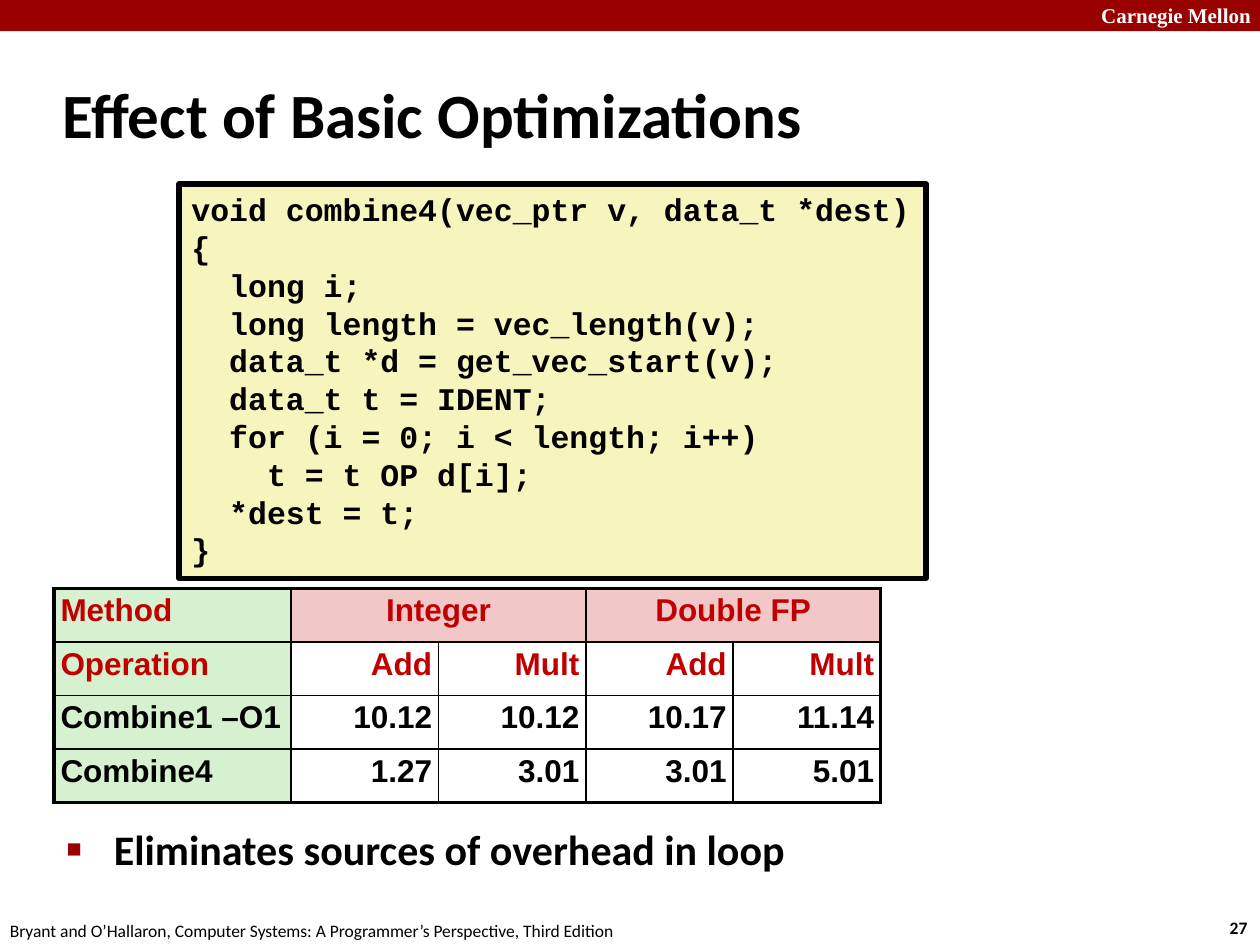
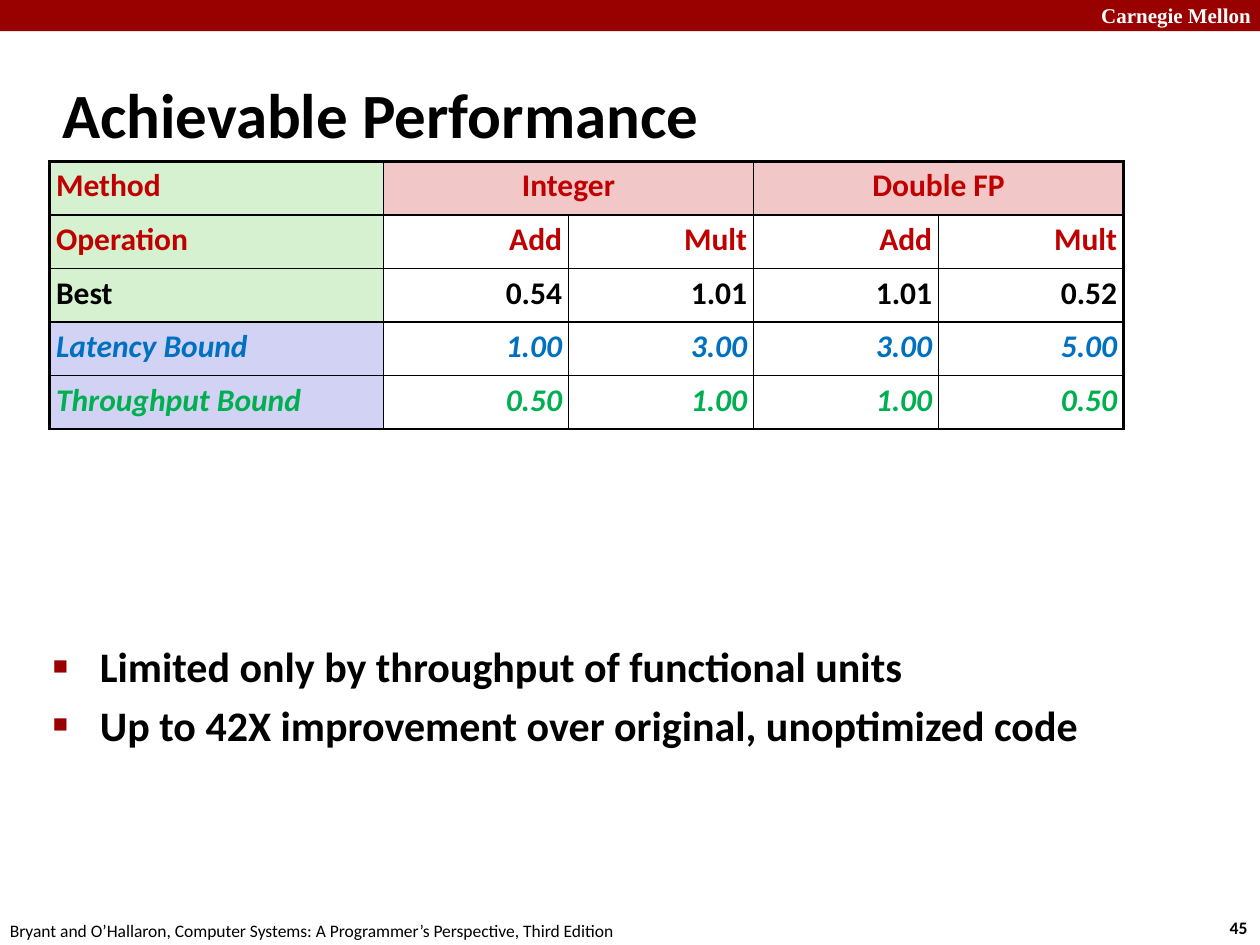
import dataclasses

import lxml.etree
import pptx
import pptx.dml.color
import pptx.enum.shapes
import pptx.enum.text
import pptx.oxml.ns
import pptx.util

Cm = pptx.util.Cm
Pt = pptx.util.Pt
Align = pptx.enum.text.PP_ALIGN
Anchor = pptx.enum.text.MSO_ANCHOR


@dataclasses.dataclass(frozen=True)
class Theme:
    black: str = "000000"
    white: str = "FFFFFF"
    band_red: str = "990000"
    heading_red: str = "C00000"
    latency_blue: str = "0070C0"
    throughput_green: str = "00B050"
    label_fill: str = "D5F1CF"
    group_fill: str = "F1C7C7"
    bound_fill: str = "D2D2F4"
    code_fill: str = "F6F5BD"
    text_font: str = "Calibri"
    table_font: str = "Arial"
    code_font: str = "Courier New"
    brand_font: str = "Times New Roman"
    title_size: float = 36
    list_size: float = 24
    table_size: float = 18
    code_size: float = 18
    code_leading: float = 21.6
    brand_size: float = 12
    footer_size: float = 10
    outer_line: float = 2.25
    inner_line: float = 1


THEME = Theme()

FOOTER = "Bryant and O’Hallaron, Computer Systems: A Programmer’s Perspective, Third Edition"

COMBINE4_CODE = """void combine4(vec_ptr v, data_t *dest)
{
  long i;
  long length = vec_length(v);
  data_t *d = get_vec_start(v);
  data_t t = IDENT;
  for (i = 0; i < length; i++)
    t = t OP d[i];
  *dest = t;
}"""


@dataclasses.dataclass(frozen=True)
class Row:
    """One table row: a label, its four entries and their look."""
    label: str
    entries: tuple
    color: str = THEME.black
    italic: bool = False
    label_fill: str = THEME.label_fill


HEADING_ROWS = [
    Row("Method", ("Integer", "", "Double FP", ""), THEME.heading_red),
    Row("Operation", ("Add", "Mult", "Add", "Mult"), THEME.heading_red),
]


def rgb(color):
    return pptx.dml.color.RGBColor.from_string(color)


def add_element(parent, tag, **attributes):
    element = lxml.etree.SubElement(parent, pptx.oxml.ns.qn(tag))
    for name, value in attributes.items():
        element.set(name, str(value))
    return element


def write_text(para, text, *, size, font=THEME.text_font, color=THEME.black,
               bold=True, italic=False, align=Align.LEFT, leading=None):
    span = para.add_run()
    span.text = text
    span.font.name = font
    span.font.size = Pt(size)
    span.font.bold = bold
    span.font.italic = italic
    span.font.color.rgb = rgb(color)
    para.alignment = align
    if leading:
        para.line_spacing = leading


def next_paragraph(frame, index):
    return frame.add_paragraph() if index else frame.paragraphs[0]


def place(shape, left, top, width, height):
    shape.left, shape.top = Cm(left), Cm(top)
    shape.width, shape.height = Cm(width), Cm(height)


def add_label(page, text, left, top, width, height, wrap=False, **text_format):
    box = page.shapes.add_textbox(Cm(left), Cm(top), Cm(width), Cm(height))
    box.text_frame.word_wrap = wrap
    write_text(box.text_frame.paragraphs[0], text, **text_format)


def add_rectangle(page, left, top, width, height, fill, line_width=None):
    box = page.shapes.add_shape(pptx.enum.shapes.MSO_SHAPE.RECTANGLE,
                                Cm(left), Cm(top), Cm(width), Cm(height))
    box.shadow.inherit = False
    box.fill.solid()
    box.fill.fore_color.rgb = rgb(fill)
    if line_width:
        box.line.color.rgb = rgb(THEME.black)
        box.line.width = Pt(line_width)
    else:
        box.line.fill.background()
    return box


def add_page(deck, title, number):
    """Add a slide with the shared band, footer, page number and title."""
    page = deck.slides.add_slide(deck.slide_layouts[1])
    add_rectangle(page, 0, 0, 25.4, 0.63, THEME.band_red)
    add_label(page, "Carnegie Mellon", 21.95, -0.08, 3.63, 0.76, wrap=True,
              size=THEME.brand_size, font=THEME.brand_font, color=THEME.white)
    add_label(page, str(number), 24.54, 18.36, 0.94, 0.69, size=THEME.footer_size)
    add_label(page, FOOTER, -0.05, 18.42, 12.9, 0.69,
              size=THEME.footer_size, bold=False)

    heading = page.shapes.title
    place(heading, 1, 1.22, 21.08, 2.11)
    frame = heading.text_frame
    frame.auto_size = pptx.enum.text.MSO_AUTO_SIZE.NONE
    frame.vertical_anchor = Anchor.MIDDLE
    write_text(frame.paragraphs[0], title, size=THEME.title_size)
    return page


def add_square_bullet(para):
    properties = para._p.get_or_add_pPr()
    properties.set("marL", str(Cm(0.95)))
    properties.set("indent", str(-Cm(0.95)))
    color = add_element(properties, "a:buClr")
    add_element(color, "a:srgbClr", val=THEME.band_red)
    add_element(properties, "a:buSzPct", val=60000)
    add_element(properties, "a:buFont", typeface=THEME.table_font)
    add_element(properties, "a:buChar", char="■")


def fill_list(page, items, left, top, width, height):
    body = page.placeholders[1]
    place(body, left, top, width, height)
    frame = body.text_frame
    frame.auto_size = pptx.enum.text.MSO_AUTO_SIZE.NONE
    frame.vertical_anchor = Anchor.TOP
    for index, item in enumerate(items):
        para = next_paragraph(frame, index)
        add_square_bullet(para)
        para.space_before = Pt(0.2 * THEME.list_size if index else 0)
        write_text(para, item, size=THEME.list_size)


def add_code(page, code, left, top, width, height):
    box = add_rectangle(page, left, top, width, height, THEME.code_fill, line_width=3)
    frame = box.text_frame
    frame.word_wrap = False
    frame.vertical_anchor = Anchor.TOP
    for index, line in enumerate(code.split("\n")):
        write_text(next_paragraph(frame, index), line, size=THEME.code_size,
                   font=THEME.code_font, leading=Pt(THEME.code_leading))


def set_borders(cell, **widths):
    """Draw black borders; widths are in points, keyed L, R, T and B in that order."""
    properties = cell._tc.get_or_add_tcPr()
    for side, width in widths.items():
        line = add_element(properties, f"a:ln{side}", w=Pt(width))
        fill = add_element(line, "a:solidFill")
        add_element(fill, "a:srgbClr", val=THEME.black)


def format_cell(cell, text, fill, **text_format):
    cell.margin_left = cell.margin_right = Cm(0.13)
    cell.margin_top = cell.margin_bottom = Cm(0.13)
    cell.vertical_anchor = Anchor.TOP
    if fill:
        cell.fill.solid()
        cell.fill.fore_color.rgb = rgb(fill)
    else:
        cell.fill.background()
    if text:
        write_text(cell.text_frame.paragraphs[0], text, size=THEME.table_size,
                   leading=0.95, **text_format)


def add_results(page, data_rows, left, top, label_width, entry_width,
                font=THEME.text_font, bottom_line=THEME.inner_line):
    """Add a table of results under the shared two heading rows."""
    rows = HEADING_ROWS + data_rows
    widths = [label_width] + [entry_width] * 4
    row_height = 1.08
    table = page.shapes.add_table(len(rows), len(widths), Cm(left), Cm(top),
                                  Cm(sum(widths)), Cm(row_height * len(rows))).table
    table.first_row = table.horz_banding = False
    for column, width in zip(table.columns, widths):
        column.width = Cm(width)
    for first in (1, 3):
        table.cell(0, first).merge(table.cell(0, first + 1))

    outer, inner = THEME.outer_line, THEME.inner_line
    for row_index, row in enumerate(rows):
        table.rows[row_index].height = Cm(row_height)
        for index, text in enumerate((row.label, *row.entries)):
            cell = table.cell(row_index, index)
            at_right = index + cell.span_width == len(widths)
            at_bottom = row_index == len(rows) - 1
            set_borders(cell,
                        L=inner if index else outer,
                        R=outer if at_right else inner,
                        T=inner if row_index else outer,
                        B=bottom_line if at_bottom else inner)
            if index == 0:
                fill, align = row.label_fill, Align.LEFT
            elif row_index == 0:
                fill, align = THEME.group_fill, Align.CENTER
            else:
                fill, align = None, Align.RIGHT
            format_cell(cell, text, fill, font=font, color=row.color,
                        italic=row.italic, align=align)


def add_optimizations_page(deck):
    page = add_page(deck, "Effect of Basic Optimizations", 27)
    fill_list(page, ["Eliminates sources of overhead in loop"], 1.09, 16.48, 21.95, 1.5)
    add_code(page, COMBINE4_CODE, 3.61, 3.71, 15.06, 7.95)
    add_results(page, [
        Row("Combine1 –O1", ("10.12", "10.12", "10.17", "11.14")),
        Row("Combine4", ("1.27", "3.01", "3.01", "5.01")),
    ], 1.09, 11.86, 4.78, 2.97, font=THEME.table_font, bottom_line=THEME.outer_line)


def add_performance_page(deck):
    page = add_page(deck, "Achievable Performance", 45)
    fill_list(page, [
        "Limited only by throughput of functional units",
        "Up to 42X improvement over original, unoptimized code",
    ], 0.81, 12.78, 23.09, 5.2)
    add_results(page, [
        Row("Best", ("0.54", "1.01", "1.01", "0.52")),
        Row("Latency Bound", ("1.00", "3.00", "3.00", "5.00"),
            THEME.latency_blue, True, THEME.bound_fill),
        Row("Throughput Bound", ("0.50", "1.00", "1.00", "0.50"),
            THEME.throughput_green, True, THEME.bound_fill),
    ], 1, 3.25, 6.73, 3.73)


def main():
    deck = pptx.Presentation()
    deck.slide_width, deck.slide_height = Cm(25.4), Cm(19.05)
    add_optimizations_page(deck)
    add_performance_page(deck)
    deck.save("out.pptx")


if __name__ == "__main__":
    main()
